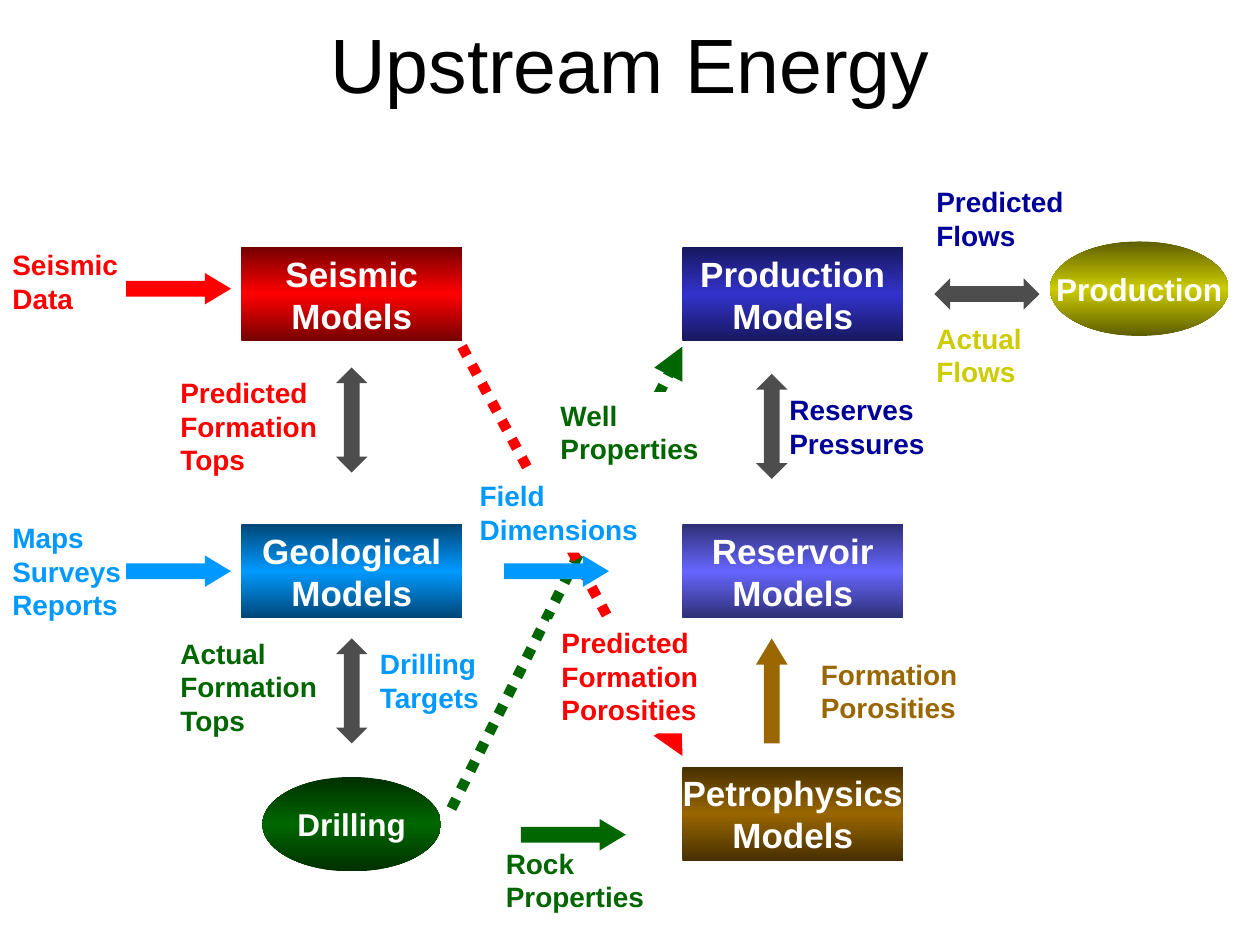
from copy import deepcopy
from lxml.etree import SubElement
from pptx import Presentation
from pptx.dml.color import RGBColor
from pptx.enum.dml import MSO_LINE
from pptx.enum.shapes import MSO_CONNECTOR, MSO_SHAPE
from pptx.enum.text import MSO_ANCHOR, MSO_AUTO_SIZE, PP_ALIGN
from pptx.oxml.ns import qn
from pptx.util import Inches, Pt

COLS, ROWS = 120, 90
WIDE, HIGH = Inches(10), Inches(7.5)
RED, BLUE, GREEN, BROWN = "FF0000", "0099FF", "006600", "996600"
NAVY, GOLD, GRAY, WHITE, BLACK = "000099", "CCCC00", "4D4D4D", "FFFFFF", "000000"
NODE = {"size": Pt(20), "bold": True}
OVAL = {"size": Pt(18), "bold": True}
NOTE = {"size": Pt(16), "bold": True}
HEAD = {"size": Pt(44), "bold": False}
MID = {"vertical_anchor": MSO_ANCHOR.MIDDLE, "word_wrap": False}
FIT = {"vertical_anchor": MSO_ANCHOR.TOP, "word_wrap": False,
       "auto_size": MSO_AUTO_SIZE.SHAPE_TO_FIT_TEXT}


def rgb(tone):
    """Turn a hex string into a colour."""
    return RGBColor.from_string(tone)


def dark(tone):
    """Return the deep edge shade of a hex colour."""
    return "".join(f"{round(v * 0.46):02X}" for v in bytes.fromhex(tone))


def put(item, form):
    """Set every value of a format dict on an object."""
    for key, val in form.items():
        setattr(item, key, val)


def spot(box, x, y):
    """Turn a grid place within a box into slide lengths."""
    return int((box[0] + x) * WIDE / COLS), int((box[1] + y) * HIGH / ROWS)


def write(shape, text, tone, font, frame, align):
    """Fill a shape with one paragraph for each line of text."""
    body = shape.text_frame
    put(body, frame)
    body.text = text
    for para in body.paragraphs:
        para.alignment = align
        put(para.font, {"name": "Arial", **font})
        para.font.color.rgb = rgb(tone)


def form(page, kind, box, x, y, w, h, tone):
    """Add a plain filled shape."""
    shape = page.shapes.add_shape(kind, *spot(box, x, y), *spot((0, 0), w, h))
    shape.shadow.inherit = False
    shape.fill.solid()
    shape.fill.fore_color.rgb = rgb(tone)
    shape.line.fill.background()
    return shape


def node(page, box, x, y, text, tone, oval=False):
    """Add a model box or an oval with a banded gradient."""
    kind, w, font = (MSO_SHAPE.OVAL, 17, OVAL) if oval else (MSO_SHAPE.RECTANGLE, 21, NODE)
    shape = form(page, kind, box, x, y, w, 9, tone)
    fill = shape.fill
    fill.gradient()
    fill.gradient_angle = 270
    stops = shape.element.spPr.find(".//" + qn("a:gsLst"))
    stops.append(deepcopy(stops[0]))
    shades = dark(tone), tone, dark(tone)
    for stop, place, shade in zip(fill.gradient_stops, (0, 0.5, 1), shades):
        stop.position = place
        stop.color.rgb = rgb(shade)
    write(shape, text, WHITE, font, MID, PP_ALIGN.CENTER)


def label(page, box, x, y, w, text, tone, solid=False):
    """Add a bold label whose height follows its line count."""
    h = 1.2 + 3.22 * len(text.split("\n"))
    if solid:
        shape = form(page, MSO_SHAPE.RECTANGLE, box, x, y, w, h, WHITE)
    else:
        shape = page.shapes.add_textbox(*spot(box, x, y), *spot((0, 0), w, h))
    write(shape, text, tone, NOTE, FIT, PP_ALIGN.LEFT)


def arrow(page, box, x, y, tone, turn=0):
    """Add a one-way arrow."""
    shape = form(page, MSO_SHAPE.RIGHT_ARROW, box, x, y, 10, 3, tone)
    shape.rotation = turn
    shape.adjustments[1] = 0.83


def swap(page, box, x, y, turn=0):
    """Add a two-way arrow."""
    shape = form(page, MSO_SHAPE.UP_DOWN_ARROW, box, x, y, 3, 10, GRAY)
    shape.rotation = turn
    shape.adjustments[0] = 0.66
    shape.adjustments[1] = 0.5


def dots(page, box, start, end, tone):
    """Add a dotted line with an arrowhead at its end."""
    link = page.shapes.add_connector(
        MSO_CONNECTOR.STRAIGHT, *spot(box, *start), *spot(box, *end))
    link.line.color.rgb = rgb(tone)
    put(link.line, {"width": Pt(6), "dash_style": MSO_LINE.ROUND_DOT})
    props = link.element.spPr
    SubElement(props.find(qn("a:ln")), qn("a:tailEnd"), type="triangle")
    SubElement(props, qn("a:effectLst"))


def title(page, box):
    """Place the slide title."""
    shape = page.shapes.add_textbox(*spot(box, 0, 0), *spot((0, 0), 102, 8))
    frame = {"word_wrap": True, "vertical_anchor": MSO_ANCHOR.MIDDLE}
    write(shape, "Upstream Energy", BLACK, HEAD, frame, PP_ALIGN.CENTER)


def cross(page, box):
    """Place the flows between the two model columns."""
    dots(page, box, (0, 44), (22, 0), GREEN)
    dots(page, box, (1, 0), (22, 39), RED)
    arrow(page, box, 6.6, 45, GREEN)
    arrow(page, box, 5, 19.9, BLUE)
    label(page, box, 4, 47, 15.8, "Rock\nProperties", GREEN)
    label(page, box, 1.5, 12, 17.7, "Field\nDimensions", BLUE, True)
    label(page, box, 9.3, 26, 15.4, "Predicted\nFormation\nPorosities", RED, True)
    label(page, box, 9.2, 4.35, 15.8, "Well\nProperties", GREEN, True)


def earth(page, box):
    """Place the seismic, geological and drilling column."""
    node(page, box, 23, 0.5, "Seismic\nModels", RED)
    node(page, box, 23, 26.9, "Geological\nModels", BLUE)
    node(page, box, 25, 51, "Drilling", GREEN, True)
    arrow(page, box, 12, 3, RED)
    arrow(page, box, 12, 29.9, BLUE)
    swap(page, box, 32, 12)
    swap(page, box, 32, 37.8)
    label(page, box, 0, 0, 13.3, "Seismic\nData", RED)
    label(page, box, 0, 26, 13, "Maps\nSurveys\nReports", BLUE)
    label(page, box, 16, 12.2, 15.5, "Predicted\nFormation\nTops", RED)
    label(page, box, 16, 37, 15.5, "Actual\nFormation\nTops", GREEN)
    label(page, box, 35, 38, 12.1, "Drilling\nTargets", BLUE)


def field(page, box):
    """Place the production, reservoir and petrophysics column."""
    node(page, box, 0, 0.5, "Production\nModels", "3333CC")
    node(page, box, 0, 26.9, "Reservoir\nModels", "6666FF")
    node(page, box, 0, 50, "Petrophysics\nModels", BROWN)
    swap(page, box, 7, 12.6)
    arrow(page, box, 3.5, 41.3, BROWN, 270)
    label(page, box, 9, 13.8, 15.5, "Reserves\nPressures", NAVY)
    label(page, box, 12, 39, 15.5, "Formation\nPorosities", BROWN)


def yields(page, box):
    """Place the production oval and its flows."""
    node(page, box, 12, 6, "Production", GOLD, True)
    swap(page, box, 4.5, 6, 270)
    label(page, box, 0, 0, 14.6, "Predicted\nFlows", NAVY)
    label(page, box, 0, 13, 10.7, "Actual\nFlows", GOLD)


def main():
    """Build and save the slide."""
    deck = Presentation()
    put(deck, {"slide_width": WIDE, "slide_height": HIGH})
    page = deck.slides.add_slide(deck.slide_layouts[6])
    title(page, (9, 2))
    cross(page, (43, 33))
    earth(page, (0, 23))
    field(page, (65, 23))
    yields(page, (88, 17))
    deck.save("out.pptx")


if __name__ == "__main__":
    main()
